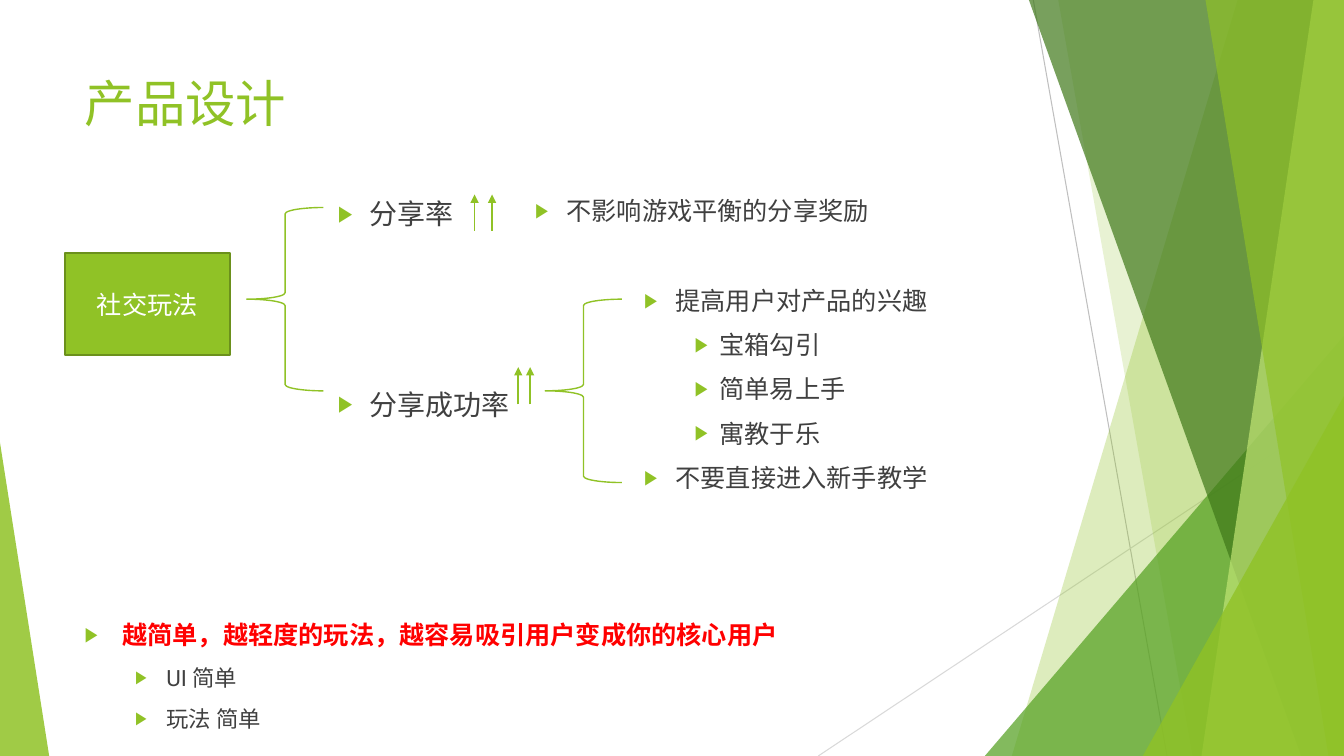
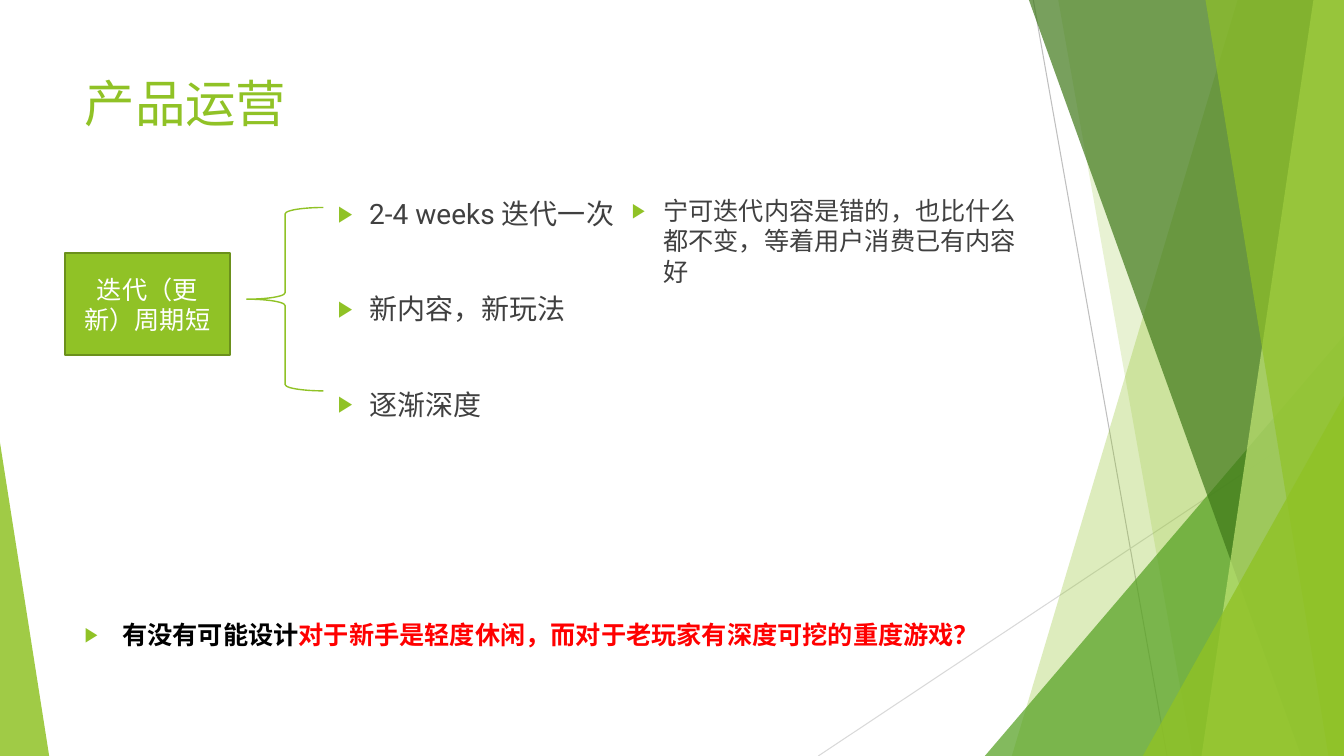
from lxml import etree
from pptx import Presentation
from pptx.dml.color import RGBColor
from pptx.enum.lang import MSO_LANGUAGE_ID
from pptx.enum.shapes import MSO_CONNECTOR, MSO_SHAPE
from pptx.enum.text import MSO_ANCHOR, MSO_AUTO_SIZE, PP_ALIGN
from pptx.oxml.ns import qn
from pptx.util import Cm, Pt

GREEN = RGBColor(0x90, 0xC2, 0x26)
MID_GREEN = RGBColor(0x54, 0xA0, 0x21)
DARK_GREEN = RGBColor(0x3F, 0x78, 0x19)
PALE_GREEN = RGBColor(0xC0, 0xE4, 0x74)
EDGE_GREEN = RGBColor(0x6B, 0x90, 0x1C)
GRAY = RGBColor(0xBF, 0xBF, 0xBF)
LIGHT_GRAY = RGBColor(0xD9, 0xD9, 0xD9)
TEXT = RGBColor(0x40, 0x40, 0x40)
WHITE = RGBColor(0xFF, 0xFF, 0xFF)
BLACK = RGBColor(0, 0, 0)
RED = RGBColor(0xFF, 0, 0)

FONT = "Roboto"
CHINESE = MSO_LANGUAGE_ID.SIMPLIFIED_CHINESE
STRAIGHT = MSO_CONNECTOR.STRAIGHT
RECT = MSO_SHAPE.RECTANGLE
TRIANGLE = MSO_SHAPE.ISOSCELES_TRIANGLE
BRACE = MSO_SHAPE.LEFT_BRACE
TOP, MIDDLE = MSO_ANCHOR.TOP, MSO_ANCHOR.MIDDLE
LEFT, CENTER = PP_ALIGN.LEFT, PP_ALIGN.CENTER
NO_FIT = MSO_AUTO_SIZE.NONE

WIDTH, HEIGHT = 33.87, 19.05
INDENTS = [(0.95, -0.95), (2.06, -0.79), (3.17, -0.63)]  # text edge, bullet offset in cm
BRANCH_HEIGHT = 5.79


def child(parent, tag, **attrs):
    """Append an XML child with the given attributes."""
    el = etree.SubElement(parent, qn(tag))
    for key, value in attrs.items():
        el.set(key, str(value))
    return el


def add_run(p, text, size=18, color=TEXT, bold=False):
    """Add a formatted run to a paragraph."""
    r = p.add_run()
    r.text = text
    r.font.name = FONT
    r.font.size = Pt(size)
    r.font.bold = bold
    r.font.color.rgb = color
    r.font.language_id = CHINESE
    child(r._r.get_or_add_rPr(), "a:ea", typeface=FONT)


def add_bullet(p, level, gap):
    """Give a paragraph its indent, spacing and green triangle bullet."""
    p.level = level
    p.alignment = LEFT
    p.space_before = Pt(gap)
    p.space_after = Pt(0)
    pPr = p._p.get_or_add_pPr()
    margin, offset = INDENTS[level]
    pPr.set("marL", str(Cm(margin)))
    pPr.set("indent", str(Cm(offset)))
    child(child(pPr, "a:buClr"), "a:srgbClr", val=GREEN)
    child(pPr, "a:buSzPct", val=80000)
    child(pPr, "a:buFont", typeface=FONT)
    child(pPr, "a:buChar", char="▶")


def item(*runs, level=1, size=18, gap=10, color=TEXT, bold=False):
    """Describe a list item; a run is a text or a (text, color) pair."""
    pairs = [(run, color) if isinstance(run, str) else run for run in runs]
    return dict(runs=pairs, level=level, size=size, gap=gap, bold=bold)


class Deck:
    """Holds the shared style and the slide being built."""

    def __init__(self):
        self.prs = Presentation()
        self.prs.slide_width, self.prs.slide_height = Cm(WIDTH), Cm(HEIGHT)
        self.layout = self.prs.slide_layouts[4]
        self.s = None
        self.decorated = False

    def start(self, title):
        """Add a slide with its title."""
        self.s = self.prs.slides.add_slide(self.layout)
        self.bodies = [ph for ph in self.s.placeholders
                       if ph.placeholder_format.idx > 0]
        if not self.decorated:
            self.decorate()
        tf = self.place(self.s.shapes.title, 1.88, 1.7, 23.88, 3.66)
        tf.paragraphs[0].alignment = LEFT
        add_run(tf.paragraphs[0], title, size=36, color=GREEN)

    def finish(self):
        """Remove the body placeholders that were not used."""
        for ph in self.bodies:
            ph.element.getparent().remove(ph.element)

    def place(self, sp, x, y, w, h, anchor=TOP):
        """Move a text shape and set up its frame."""
        sp.left, sp.top, sp.width, sp.height = Cm(x), Cm(y), Cm(w), Cm(h)
        tf = sp.text_frame
        tf.word_wrap = True
        tf.auto_size = NO_FIT
        tf.vertical_anchor = anchor
        return tf

    def bullets(self, x, y, w, h, *items):
        """Fill the next body placeholder with a bulleted list."""
        tf = self.place(self.bodies.pop(0), x, y, w, h)
        for i, entry in enumerate(items):
            p = tf.add_paragraph() if i else tf.paragraphs[0]
            add_bullet(p, entry["level"], entry["gap"])
            for text, color in entry["runs"]:
                add_run(p, text, entry["size"], color, entry["bold"])

    def topic(self, text):
        """Draw the green box on the left and the brace beside it."""
        sp = self.shape(RECT, 1.63, 6.38, 4.17, 2.57)
        self.paint(sp, GREEN)
        sp.line.color.rgb = EDGE_GREEN
        sp.line.width = Pt(1.5)
        p = self.place(sp, 1.63, 6.38, 4.17, 2.57, MIDDLE).paragraphs[0]
        p.alignment = CENTER
        add_run(p, text, color=WHITE)
        self.brace(6.22, 5.23)

    def brace(self, x, y):
        """Draw a left brace that opens a branch."""
        sp = self.shape(BRACE, x, y, 1.93, 4.62)
        sp.fill.background()
        sp.line.color.rgb = GREEN
        sp.line.width = Pt(1)

    def shape(self, kind, x, y, w, h):
        """Add a preset shape without shadow."""
        sp = self.s.shapes.add_shape(kind, Cm(x), Cm(y), Cm(w), Cm(h))
        sp.shadow.inherit = False
        return sp

    def paint(self, sp, color, opacity=100):
        """Fill a shape, leaving it without outline."""
        sp.fill.solid()
        sp.fill.fore_color.rgb = color
        sp.line.fill.background()
        if opacity < 100:
            clr = sp.element.xpath("./p:spPr/a:solidFill/a:srgbClr")[0]
            child(clr, "a:alpha", val=opacity * 1000)

    def line(self, x1, y1, x2, y2, color, width=0.75, arrow=False):
        """Draw a straight line, with an arrowhead at its end if wanted."""
        cx = self.s.shapes.add_connector(STRAIGHT, Cm(x1), Cm(y1), Cm(x2), Cm(y2))
        cx.line.color.rgb = color
        cx.line.width = Pt(width)
        if arrow:
            child(cx.line._get_or_add_ln(), "a:tailEnd", type="triangle")
        child(cx.element.spPr, "a:effectLst")

    def rising(self, bottom, top, *xs):
        """Draw upward arrows at the given x positions."""
        for x in xs:
            self.line(x, bottom, x, top, GREEN, 1.25, arrow=True)

    def panel(self, top_x, bottom_x, color, opacity):
        """Draw a slanted panel reaching the right edge."""
        fb = self.s.shapes.build_freeform(Cm(top_x), 0)
        fb.add_line_segments([(Cm(WIDTH), 0), (Cm(WIDTH), Cm(HEIGHT)),
                              (Cm(bottom_x), Cm(HEIGHT))], close=True)
        sp = fb.convert_to_shape()
        sp.shadow.inherit = False
        self.paint(sp, color, opacity)

    def corner(self, x, y, w, apex, color, opacity):
        """Draw a right-angled triangle standing on the bottom edge."""
        sp = self.shape(TRIANGLE, x, y, w, HEIGHT - y)
        sp.adjustments[0] = apex
        self.paint(sp, color, opacity)

    def decorate(self):
        """Draw the facets once and hand them to the shared layout."""
        count = len(self.s.shapes)
        self.line(26.04, 0, 29.41, HEIGHT, GRAY)
        self.line(WIDTH, 10.24, 20.62, HEIGHT, LIGHT_GRAY)
        self.panel(31.19, 25.5, GREEN, 30)
        self.panel(26.67, 30.05, GREEN, 20)
        self.corner(24.82, 8.46, 9.05, 1, MID_GREEN, 72)
        self.panel(25.93, 32.79, DARK_GREEN, 70)
        self.panel(33.1, 30.28, PALE_GREEN, 70)
        self.panel(30.38, 33.48, GREEN, 65)
        self.corner(28.8, 9.98, 5.07, 1, GREEN, 80)
        self.corner(0, 11.15, 1.24, 0, GREEN, 85)
        for number, sp in enumerate(list(self.s.shapes)[count:], 100):
            sp.element.xpath(".//p:cNvPr")[0].set("id", str(number))
            self.layout.shapes.element.append(sp.element)
        self.decorated = True

    def branches(self, w, *items):
        """List the branches of the topic."""
        self.bullets(6.99, 4.83, w, BRANCH_HEIGHT, *items)

    def remark(self, x, text):
        """Write the remark beside the first branch."""
        self.bullets(x, 4.8, 11.86, 1.19, item(text))

    def conclusion(self, *items):
        """Write the list at the bottom of the slide."""
        self.bullets(1.88, 15.49, 23.88, 3.45, *items)


def product_design(deck):
    """Build the slide on product design."""
    deck.start("产品设计")
    deck.topic("社交玩法")
    deck.branches(7.72, item("分享率", size=20),
                  item("分享成功率", size=20, gap=112))
    deck.brace(13.74, 7.54)
    deck.bullets(14.71, 7.06, 9.5, BRANCH_HEIGHT,
                 item("提高用户对产品的兴趣"),
                 *[item(text, level=2) for text in ("宝箱勾引", "简单易上手", "寓教于乐")],
                 item("不要直接进入新手教学"))
    deck.rising(5.82, 4.9, 11.96, 12.4)
    deck.rising(10.19, 9.25, 13.06, 13.36)
    deck.remark(11.96, "不影响游戏平衡的分享奖励")
    deck.conclusion(
        item("越简单，越轻度的玩法，越容易吸引用户变成你的核心用户",
             level=0, color=RED, bold=True),
        item("UI 简单", size=16), item("玩法 简单", size=16))
    deck.finish()


def product_operation(deck):
    """Build the slide on product operation."""
    deck.start("产品运营")
    deck.topic("迭代（更新）周期短")
    deck.branches(9.27, *[item(text, size=20, gap=44) for text in
                          ("2-4 weeks 迭代一次", "新内容，新玩法", "逐渐深度")])
    deck.remark(14.4, "宁可迭代内容是错的，也比什么都不变，等着用户消费已有内容好")
    deck.conclusion(
        item(("有没有可能设计", BLACK),
             ("对于新手是轻度休闲，而对于老玩家有深度可挖的重度游戏？", RED),
             level=0, bold=True))
    deck.finish()


deck = Deck()
product_design(deck)
product_operation(deck)
deck.prs.save("out.pptx")
